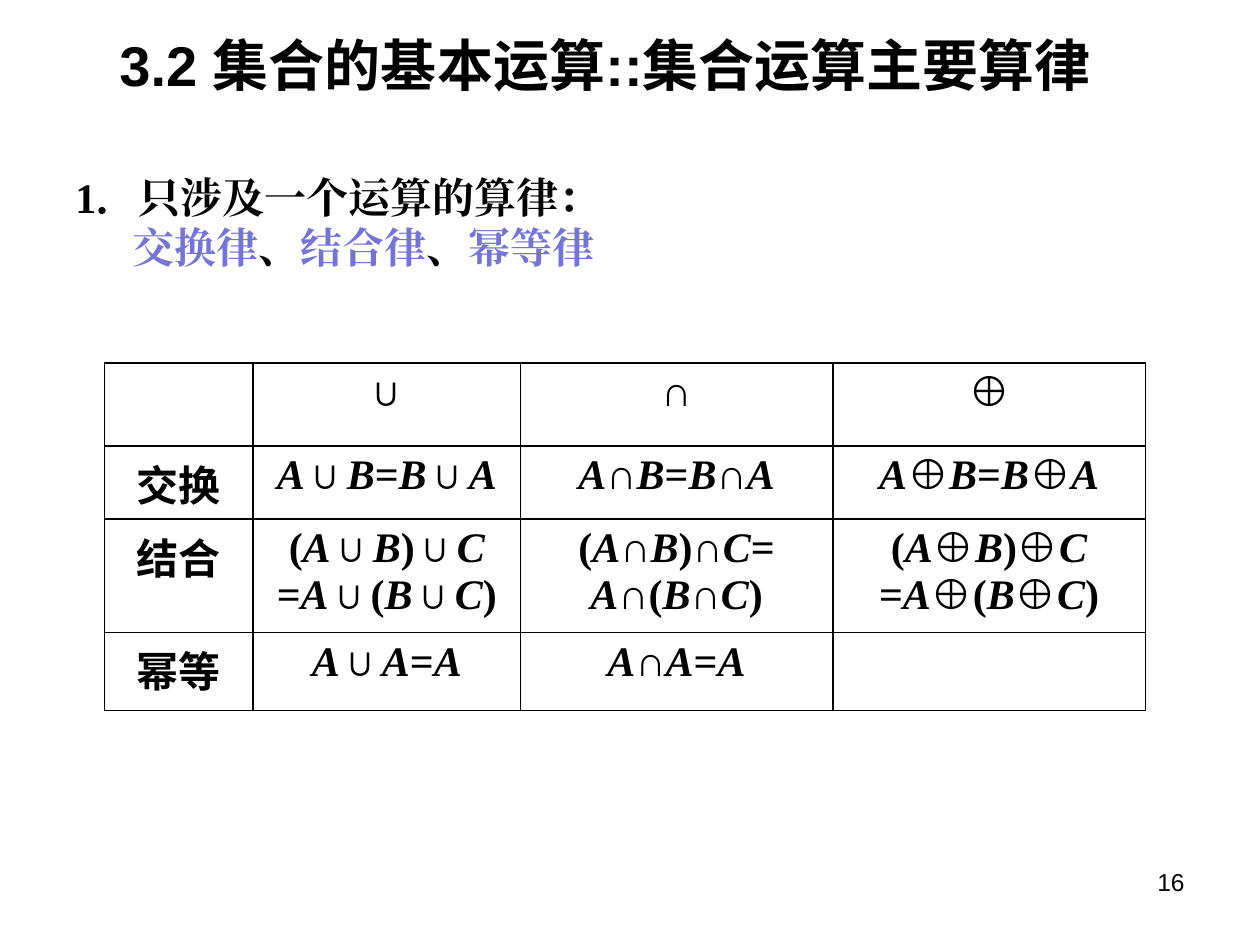
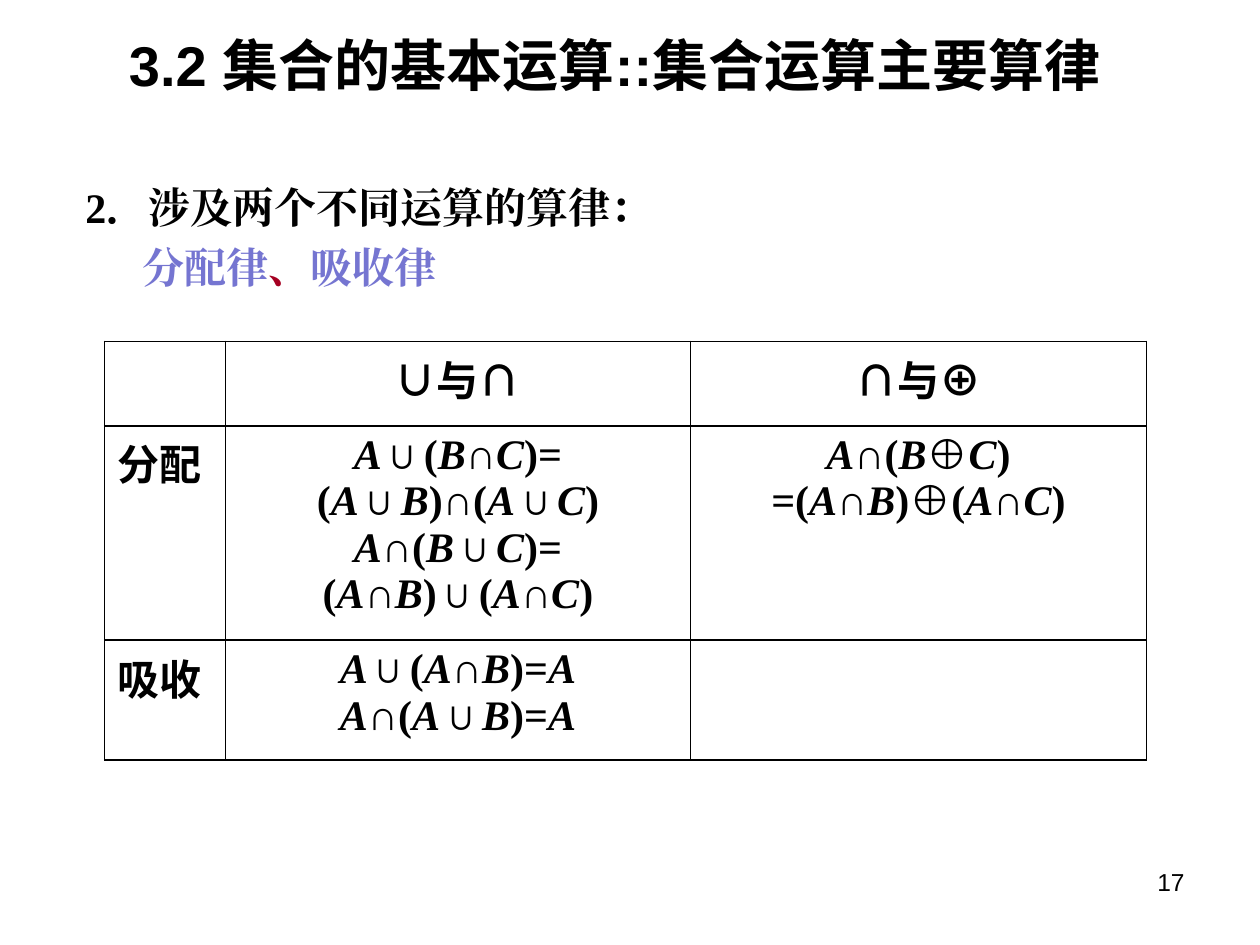
import itertools

import pptx
import pptx.dml.color
import pptx.enum.text
import pptx.oxml
import pptx.oxml.ns
import pptx.util

Inches = pptx.util.Inches
Pt = pptx.util.Pt
ALIGN = pptx.enum.text.PP_ALIGN
ANCHOR = pptx.enum.text.MSO_ANCHOR

# Shared style
BLACK, LAW_BLUE, DARK_RED, WHITE = "000000", "7575D1", "A50021", "FFFFFF"
SERIF, SANS, HAN = "Times New Roman", "Arial", "Noto Sans CJK SC"
TITLE = "3.2 集合的基本运算::集合运算主要算律"
BODY_SIZE = 24
TABLE_LEFT = 0.83


def rgb(hex_color):
    return pptx.dml.color.RGBColor.from_string(hex_color)


def style_run(run, size=BODY_SIZE, latin=SERIF, han=SERIF, color=BLACK,
              bold=True, italic=False):
    font = run.font
    font.size, font.name = Pt(size), latin
    font.bold, font.italic = bold, italic
    font.color.rgb = rgb(color)
    # East Asian typeface follows the Latin one
    east_asian = pptx.oxml.parse_xml(
        f'<a:ea {pptx.oxml.ns.nsdecls("a")} typeface="{han}"/>')
    run.font._element.find(pptx.oxml.ns.qn("a:latin")).addnext(east_asian)


def add_text_area(slide, left, top, width, height):
    frame = slide.shapes.add_textbox(
        Inches(left), Inches(top), Inches(width), Inches(height)).text_frame
    frame.word_wrap = True
    return frame


def add_title(slide, left, width):
    frame = add_text_area(slide, left, 0.28, width, 0.46)
    frame.vertical_anchor = ANCHOR.MIDDLE
    heading = frame.paragraphs[0]
    heading.text = TITLE
    heading.alignment = ALIGN.CENTER
    style_run(heading.runs[0], size=32, latin=SANS, han=HAN)


def add_page_number(slide, number):
    footer = add_text_area(slide, 7.17, 6.83, 2.33, 0.52).paragraphs[0]
    footer.text = str(number)
    footer.alignment = ALIGN.RIGHT
    style_run(footer.runs[0], size=14, latin=SANS, han=SANS, bold=False)


def add_topic(slide, heading, laws, comma_color, indent, height, line_spacing):
    """Numbered heading with the names of its laws indented below it."""
    frame = add_text_area(slide, 0.5, 1.39, 9, height)
    lines = [frame.paragraphs[0], frame.add_paragraph()]
    for line, left in zip(lines, (indent, indent + 0.45)):
        line.space_before = Pt(5.5)
        line.line_spacing = line_spacing
        line._p.get_or_add_pPr().set("marL", str(Inches(left)))
    lines[0].text = heading
    style_run(lines[0].runs[0])
    for index, law in enumerate(laws):
        if index:
            add_run(lines[1], "、", color=comma_color)
        add_run(lines[1], law, color=LAW_BLUE)


def add_run(paragraph, text, **style):
    run = paragraph.add_run()
    run.text = text
    style_run(run, **style)


def add_borders(cell):
    properties = cell._tc.get_or_add_tcPr()
    for position, side in enumerate(("lnL", "lnR", "lnT", "lnB")):
        properties.insert(position, pptx.oxml.parse_xml(
            f'<a:{side} {pptx.oxml.ns.nsdecls("a")} w="{Pt(1)}"><a:solidFill>'
            f'<a:srgbClr val="{BLACK}"/></a:solidFill></a:{side}>'))


def write_formula(cell, formula, alignment):
    """Set letters are italic; cells with Chinese words use the Han font."""
    has_han = any("一" <= sign <= "龥" for sign in formula)
    han = HAN if has_han else SERIF
    for index, text in enumerate(formula.split("\n")):
        frame = cell.text_frame
        line = frame.add_paragraph() if index else frame.paragraphs[0]
        line.alignment = alignment
        for is_letter, signs in itertools.groupby(text, str.isupper):
            add_run(line, "".join(signs), han=han, italic=is_letter)


def add_law_table(slide, top, widths, heights, rows, label_alignment):
    table = slide.shapes.add_table(
        len(heights), len(widths), Inches(TABLE_LEFT), Inches(top),
        Inches(sum(widths)), Inches(sum(heights))).table
    table.first_row = table.horz_banding = False
    for column, width in zip(table.columns, widths):
        column.width = Inches(width)
    for row, height, formulas in zip(table.rows, heights, rows):
        row.height = Inches(height)
        for index, (cell, formula) in enumerate(zip(row.cells, formulas)):
            cell.fill.solid()
            cell.fill.fore_color.rgb = rgb(WHITE)
            add_borders(cell)
            if formula:
                write_formula(cell, formula,
                              ALIGN.CENTER if index else label_alignment)


def add_lesson_slide(deck, number, title_left, title_width):
    slide = deck.slides.add_slide(deck.slide_layouts[6])
    add_page_number(slide, number)
    add_title(slide, title_left, title_width)
    return slide


def main():
    deck = pptx.Presentation()
    deck.slide_width, deck.slide_height = Inches(10), Inches(7.5)

    # Laws of one operation
    single = add_lesson_slide(deck, 16, 0.47, 8.67)
    add_topic(single, "1．只涉及一个运算的算律：", ["交换律", "结合律", "幂等律"],
              BLACK, indent=0, height=1.26, line_spacing=0.8)
    add_law_table(single, 2.88, [1.18, 2.12, 2.48, 2.48],
                  [0.66, 0.58, 0.84, 0.62], [
        ["", "∪", "∩", "⊕"],
        ["交换", "A∪B=B∪A", "A∩B=B∩A", "A⊕B=B⊕A"],
        ["结合", "(A∪B)∪C\n=A∪(B∪C)", "(A∩B)∩C=\nA∩(B∩C)",
         "(A⊕B)⊕C\n=A⊕(B⊕C)"],
        ["幂等", "A∪A=A", "A∩A=A", ""],
    ], ALIGN.CENTER)

    # Laws of two operations
    double = add_lesson_slide(deck, 17, 0.62, 8.52)
    add_topic(double, "2．涉及两个不同运算的算律：", ["分配律", "吸收律"],
              DARK_RED, indent=0.08, height=1.02, line_spacing=1.0)
    add_law_table(double, 2.71, [0.96, 3.69, 3.62], [0.67, 1.57, 0.95], [
        ["", "∪与∩", "∩与⊕"],
        ["分配", "A∪(B∩C)=\n(A∪B)∩(A∪C)\nA∩(B∪C)=\n(A∩B)∪(A∩C)",
         "A∩(B⊕C)\n=(A∩B)⊕(A∩C)"],
        ["吸收", "A∪(A∩B)=A\nA∩(A∪B)=A", ""],
    ], ALIGN.LEFT)

    deck.save("out.pptx")


if __name__ == "__main__":
    main()
